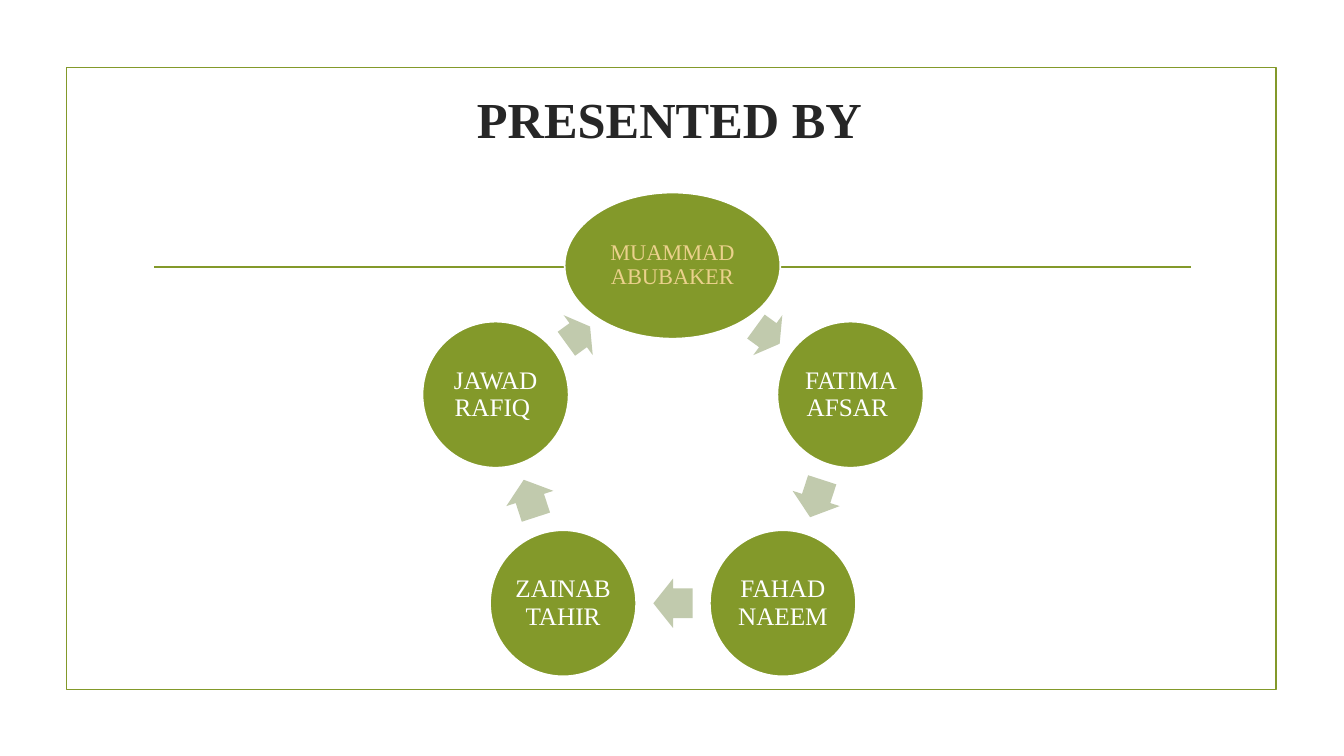
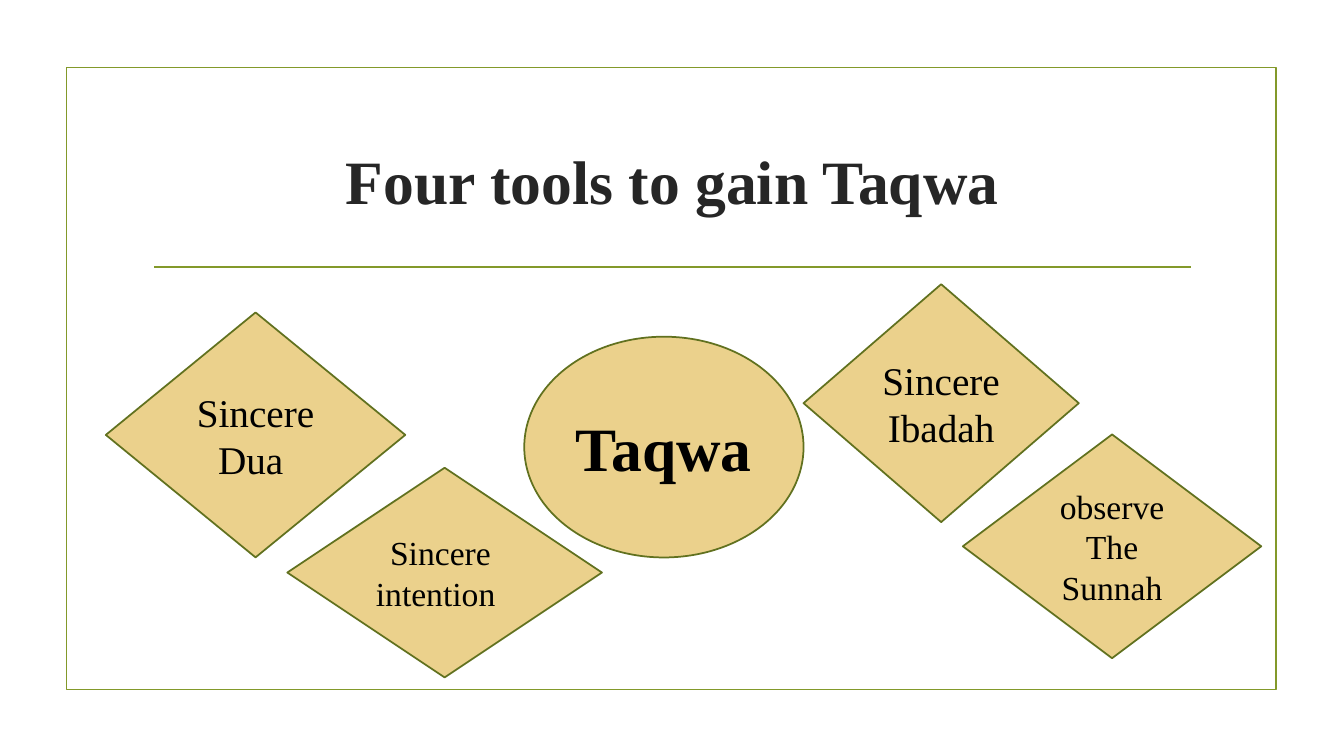
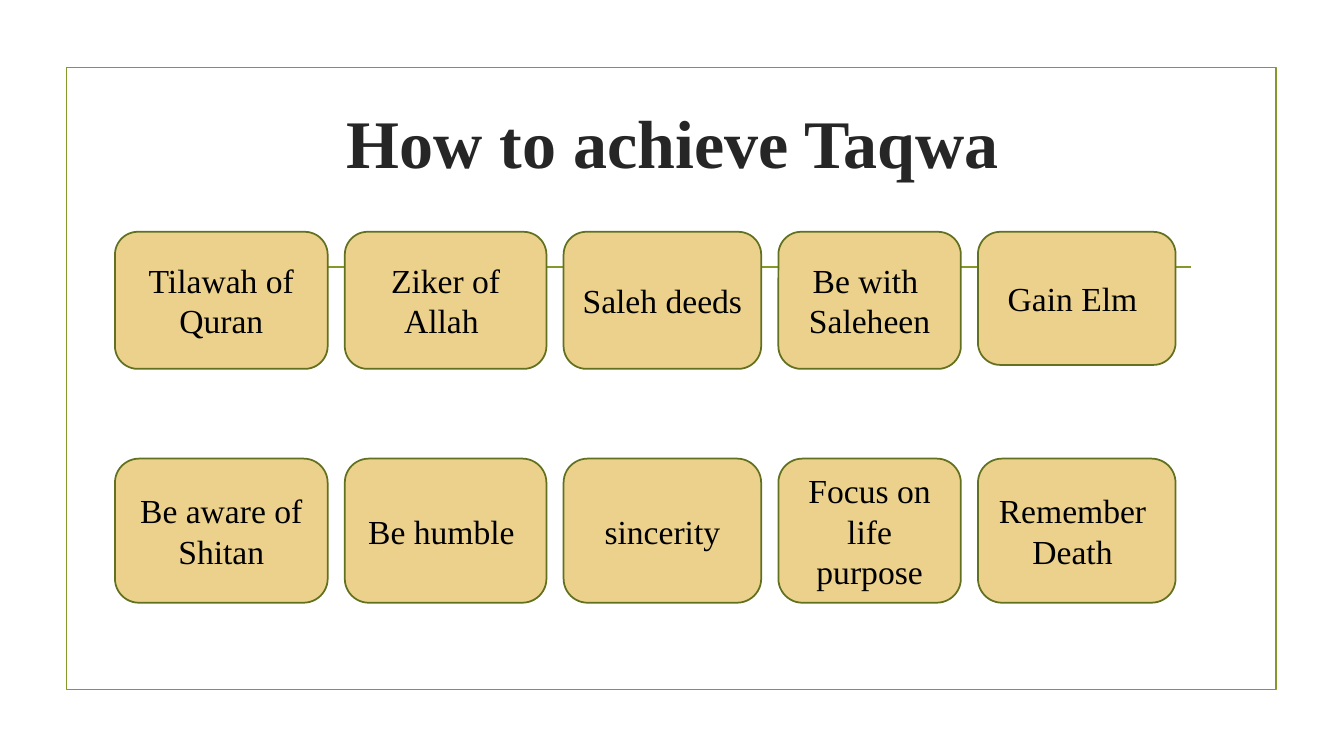
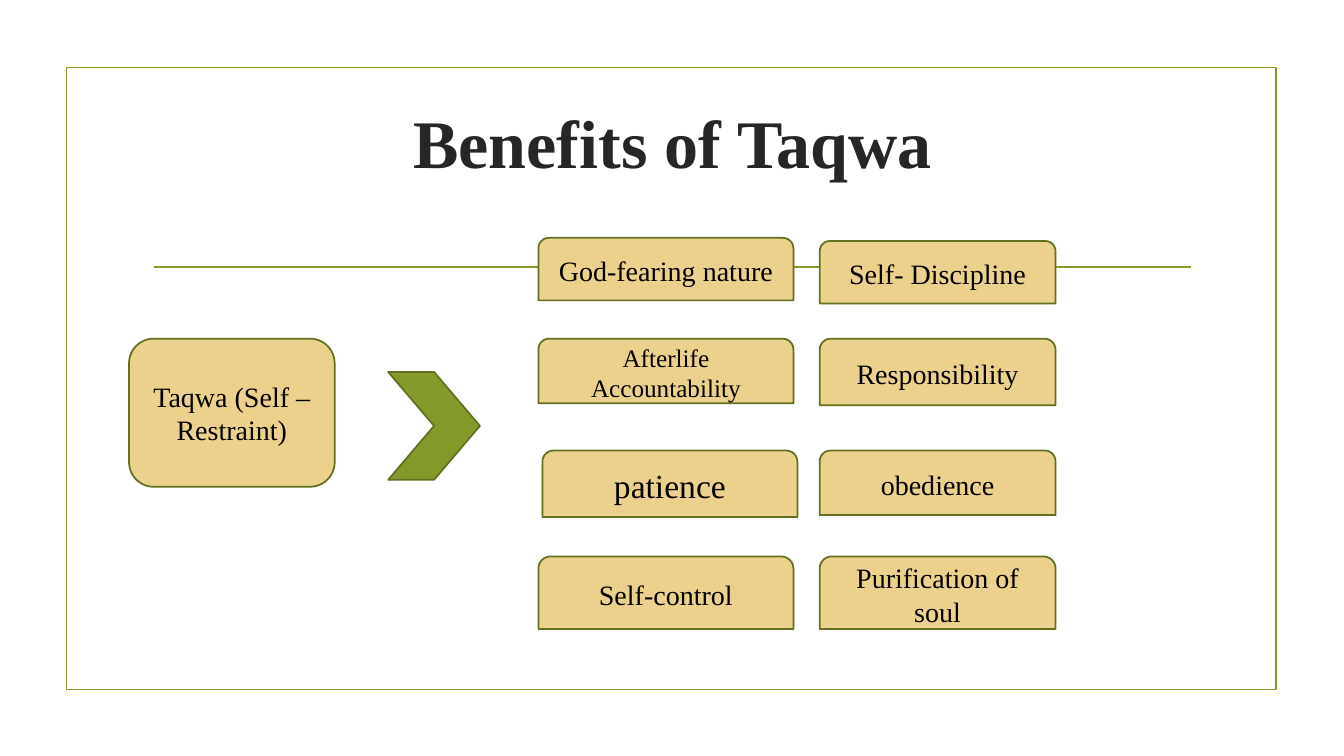
"""Builds four slides on Taqwa, each inside a thin green frame."""
import math

from lxml import etree
from pptx import Presentation
from pptx import util as u
from pptx.dml.color import RGBColor
from pptx.enum import shapes, text
from pptx.oxml.ns import qn

PX = 9144
COLORS = {
    "green": "83992A",
    "dark green": "61711F",
    "sage": "C1CAAD",
    "sand": "EBD18C",
    "ink": "262626",
    "black": "000000",
    "white": "FFFFFF",
}
KIND = shapes.MSO_SHAPE
CENTER = text.PP_ALIGN.CENTER


class Deck:
    """Holds the shared style and the slide being drawn."""

    font = "Times New Roman"
    line_width = u.Pt(1.25)

    def __init__(self):
        self.prs = Presentation()
        self.prs.slide_width, self.prs.slide_height = 1333 * PX, 750 * PX
        self.slide = None

    def color(self, name):
        return RGBColor.from_string(COLORS[name])

    def label(self, frame, words, size, color, bold=False, spacing=None):
        frame.text = words
        frame.word_wrap = True
        frame.auto_size = text.MSO_AUTO_SIZE.NONE
        frame.vertical_anchor = text.MSO_ANCHOR.MIDDLE
        for paragraph in frame.paragraphs:
            paragraph.alignment = CENTER
            paragraph.line_spacing = spacing
            font = paragraph.font
            font.name, font.size, font.bold = self.font, u.Pt(size), bold
            font.color.rgb = self.color(color)

    def shape(self, kind, left, top, width, height, fill=None, line=None):
        shape = self.slide.shapes.add_shape(
            kind, left * PX, top * PX, width * PX, height * PX)
        shape.shadow.inherit = False
        if fill:
            shape.fill.solid()
            shape.fill.fore_color.rgb = self.color(fill)
        else:
            shape.fill.background()
        if line:
            shape.line.color.rgb = self.color(line)
            shape.line.width = self.line_width
        else:
            shape.line.fill.background()
        return shape

    def rule(self, left, right, y):
        rule = self.slide.shapes.add_connector(
            shapes.MSO_CONNECTOR.STRAIGHT, left * PX, y * PX, right * PX, y * PX)
        rule.line.color.rgb = self.color("green")
        rule.line.width = self.line_width
        etree.SubElement(rule._element.spPr, qn("a:effectLst"))

    def new_slide(self, heading, size, left=142, top=107, height=143):
        self.slide = self.prs.slides.add_slide(self.prs.slide_layouts[5])
        self.shape(KIND.RECTANGLE, 66, 67, 1200, 617, line="green")
        self.rule(153, 1181, 265)
        title = self.slide.shapes.title
        title.left, title.top = left * PX, top * PX
        title.width, title.height = 1050 * PX, height * PX
        self.label(title.text_frame, heading, size, "ink", bold=True)

    def card(self, kind, left, top, width, height, words, size, bold=False):
        card = self.shape(kind, left, top, width, height, "sand", "dark green")
        self.label(card.text_frame, words, size, "black", bold)
        return card

    def person(self, x, y, width, name, size, color):
        node = self.shape(KIND.OVAL, x - width // 2, y - 72, width, 145, "green", "white")
        frame = node.text_frame
        self.label(frame, name, size, color, spacing=0.9)
        frame.margin_left = frame.margin_right = 3 * PX
        frame.margin_top = frame.margin_bottom = 3 * PX

    def arrow(self, x, y, length, angle):
        arrow = self.shape(KIND.RIGHT_ARROW, x - length // 2, y - 24, length, 49, "sage")
        arrow.adjustments[0], arrow.adjustments[1] = 0.6, 0.5
        arrow.rotation = angle


def presenters(deck):
    deck.new_slide("PRESENTED BY", 36, left=139, top=79, height=76)
    center_x, center_y, radius = 667, 448, 185
    people = [
        ("MUAMMAD ABUBAKER", 214, 16, "sand", 29, 8),
        ("FATIMA AFSAR ", 145, 18, "white", 39, 0),
        ("FAHAD NAEEM", 145, 18, "white", 39, 0),
        ("ZAINAB TAHIR", 145, 18, "white", 39, 0),
        ("JAWAD RAFIQ ", 145, 18, "white", 29, -8),
    ]
    step = 360 / len(people)
    middle = radius * math.cos(math.radians(step / 2))
    for i, (name, width, size, color, length, shift) in enumerate(people):
        turn = math.radians(i * step)
        deck.person(round(center_x + radius * math.sin(turn)),
                    round(center_y - radius * math.cos(turn)),
                    width, name, size, color)
        angle = (i + 0.5) * step
        sin, cos = math.sin(math.radians(angle)), math.cos(math.radians(angle))
        deck.arrow(round(center_x + middle * sin + shift * cos),
                   round(center_y - middle * cos + shift * sin),
                   length, angle)


def four_tools(deck):
    deck.new_slide("Four tools to gain Taqwa", 44)
    deck.card(KIND.OVAL, 520, 334, 277, 219, "Taqwa", 44, bold=True)
    tools = [
        (797, 282, 273, 236, "Sincere\nIbadah", 28),
        (105, 310, 297, 243, "Sincere\nDua ", 28),
        (955, 431, 296, 222, "observe\nThe\nSunnah", 24),
        (285, 464, 312, 208, "Sincere \nintention", 24),
    ]
    for tool in tools:
        intention = deck.card(KIND.DIAMOND, *tool)
    intention.text_frame.paragraphs[1].alignment = text.PP_ALIGN.LEFT


def how_to_achieve(deck):
    deck.new_slide("How to achieve Taqwa", 48.6, top=96, height=88)
    widths, gap = [211, 200, 196, 181, 196], 17
    rows = [
        (230, [136, 136, 136, 136, 132],
         ["Tilawah of\nQuran", "Ziker of Allah ", "Saleh deeds ",
          "Be with \nSaleheen", "Gain Elm "]),
        (455, [143] * 5,
         ["Be aware of\nShitan", "Be humble ", "sincerity",
          "Focus on life purpose", "Remember \nDeath "]),
    ]
    for top, heights, deeds in rows:
        left = 114
        for width, height, deed in zip(widths, heights, deeds):
            deck.card(KIND.ROUNDED_RECTANGLE, left, top, width, height, deed, 24)
            left += width + gap


def benefits(deck):
    deck.new_slide("Benefits of Taqwa", 48.6, top=96, height=88)
    deck.card(KIND.ROUNDED_RECTANGLE, 128, 336, 204, 147, "Taqwa (Self –\nRestraint)", 20)
    gains = [
        (534, 236, 253, 62, "God-fearing nature", 20),
        (813, 239, 234, 62, "Self- Discipline", 20),
        (534, 336, 253, 64, "Afterlife Accountability", 18),
        (813, 336, 234, 66, "Responsibility", 20),
        (538, 447, 253, 66, "patience", 24),
        (813, 447, 234, 64, "obedience", 20),
        (534, 552, 253, 72, "Self-control", 20),
        (813, 552, 234, 72, "Purification of soul", 20),
    ]
    for gain in gains:
        deck.card(KIND.ROUND_2_SAME_RECTANGLE, *gain)
    deck.shape(KIND.CHEVRON, 385, 369, 91, 107, "green", "dark green")


def main():
    deck = Deck()
    for build in (presenters, four_tools, how_to_achieve, benefits):
        build(deck)
    deck.prs.save("out.pptx")


if __name__ == "__main__":
    main()
